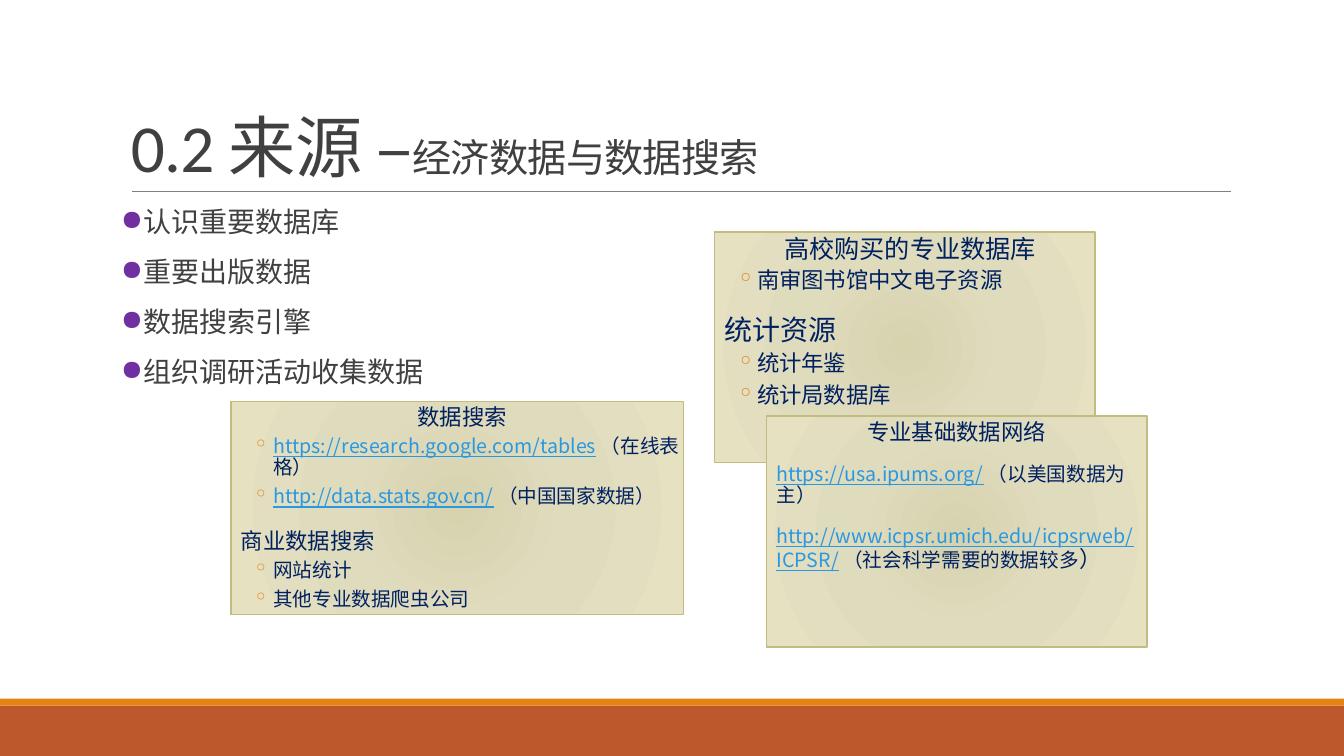
from lxml.etree import SubElement as Sub
from pptx import Presentation
from pptx.dml.color import RGBColor as RGB
from pptx.enum.shapes import MSO_CONNECTOR as Conn, MSO_SHAPE as Kind
from pptx.enum.text import MSO_ANCHOR as Anchor
from pptx.oxml import parse_xml
from pptx.oxml.ns import nsdecls, qn
from pptx.util import Pt

INK = {"text": "404040", "navy": "002060", "link": "2998E3", "dot": "7030A0",
       "orange": "E48312", "rust": "BD582C", "rule": "808080", "edge": "C2BC80"}
GLOW = {0: "D7D3AF", 45: "DFDBBD", 100: "E5E1C1"}
LATIN, HAN = "Calibri", "Noto Sans CJK SC"


def tint(name):
    return RGB.from_string(INK[name])


def place(box):
    return [Pt(n) for n in box]


def set_frame(shape, side, anchor=Anchor.TOP):
    frame = shape.text_frame
    frame.word_wrap = True
    frame.vertical_anchor = anchor
    frame.margin_left = frame.margin_right = Pt(side)
    frame.margin_top = frame.margin_bottom = Pt(3.6)
    return frame


def add_para(frame, runs, size, color, font, first, left=0, hang=0,
             mark=None, dot="orange", before=12, after=2, lines=0.9):
    """Each run is a text, or a (text, size, color) tuple."""
    para = frame.paragraphs[0] if first else frame.add_paragraph()
    para.line_spacing = lines
    para.space_before = Pt(0 if first else before)
    para.space_after = Pt(after)
    props = para._p.get_or_add_pPr()
    props.set("marL", str(Pt(left)))
    props.set("indent", str(-Pt(hang)))
    if mark:
        Sub(Sub(props, qn("a:buClr")), qn("a:srgbClr"), val=INK[dot])
        Sub(props, qn("a:buChar"), char=mark)
    para.font.size = Pt(size)
    para.font.name = font
    para.font.color.rgb = tint(color)
    Sub(props.find(qn("a:defRPr")), qn("a:ea"), typeface=HAN)
    for item in runs:
        text, big, hue = (item, None, None) if isinstance(item, str) else item
        run = para.add_run()
        run.text = text
        if big:
            run.font.size = Pt(big)
        if hue:
            run.font.color.rgb = tint(hue)
            run.font.underline = True
    return props


def add_head(para_to, size, *runs, first=False, left=7.2):
    add_para(para_to, runs, size, "navy", HAN, first, left)


def add_item(para_to, size, *runs):
    add_para(para_to, runs, size, "navy", HAN, False, 30.24, 14.4,
             "◦", before=2, after=4)


def link(text):
    return text, None, "link"


def add_band(slide, box, color):
    band = slide.shapes.add_shape(Kind.RECTANGLE, *place(box))
    band.shadow.inherit = False
    band.fill.solid()
    band.fill.fore_color.rgb = tint(color)
    band.line.fill.background()


def add_rule(slide, left, right, top):
    rule = slide.shapes.add_connector(Conn.STRAIGHT, *place((left, top, right, top)))
    rule.line.color.rgb = tint("rule")
    rule.line.width = Pt(0.5)
    Sub(rule._element.spPr, qn("a:effectLst"))


def add_card(slide, box):
    card = slide.shapes.add_shape(Kind.RECTANGLE, *place(box))
    card.shadow.inherit = False
    card.line.color.rgb = tint("edge")
    card.line.width = Pt(1)
    stops = "".join(f'<a:gs pos="{pos * 1000}"><a:srgbClr val="{hue}"/></a:gs>'
                    for pos, hue in GLOW.items())
    glow = parse_xml(
        f'<a:gradFill {nsdecls("a")} rotWithShape="1"><a:gsLst>{stops}</a:gsLst>'
        '<a:path path="circle"><a:fillToRect l="100000" t="100000" r="100000" '
        'b="100000"/></a:path></a:gradFill>')
    card._element.spPr.find(qn("a:prstGeom")).addnext(glow)
    return set_frame(card, 0)


def main():
    deck = Presentation()
    deck.slide_width, deck.slide_height = Pt(960), Pt(540)
    slide = deck.slides.add_slide(deck.slide_layouts[6])

    # Footer bands and title rule
    add_band(slide, (0, 504, 960, 36), "rust")
    add_band(slide, (0, 499, 960, 5), "orange")
    add_rule(slide, 94.3, 879.1, 136.8)

    # Title
    box = slide.shapes.add_textbox(*place((86.4, 22.3, 792, 114.5)))
    props = add_para(set_frame(box, 7.2, Anchor.BOTTOM),
                     ["0.2 来源 –", ("经济数据与数据搜索", 28, None)],
                     48, "text", LATIN, True, after=0, lines=0.85)
    props.find(qn("a:defRPr")).set("spc", "-50")

    # Main points
    box = slide.shapes.add_textbox(*place((86.4, 145.4, 792, 316.8)))
    frame = set_frame(box, 0)
    points = ["认识重要数据库", "重要出版数据", "数据搜索引擎", "组织调研活动收集数据"]
    for i, point in enumerate(points):
        add_para(frame, [point], 20, "text", LATIN, i == 0, 7.2, 7.2, "●", "dot")

    # Library and statistics card
    card = add_card(slide, (510.5, 165.6, 271.8, 164.9))
    add_head(card, 18, "高校购买的专业数据库", first=True)
    add_item(card, 16, "南审图书馆中文电子资源")
    add_head(card, 20, "统计资源")
    add_item(card, 16, "统计年鉴")
    add_item(card, 16, "统计局数据库")

    # Data search card
    card = add_card(slide, (164.9, 286.7, 323.3, 152.3))
    add_head(card, 16, "数据搜索", first=True)
    add_item(card, 14, link("https://research.google.com/tables"), " （在线表格）")
    add_item(card, 14, link("http://data.stats.gov.cn/"), " （中国国家数据）")
    add_head(card, 16, "商业数据搜索")
    add_item(card, 14, "网站统计")
    add_item(card, 14, "其他专业数据爬虫公司")

    # Research network card
    card = add_card(slide, (547.4, 297.2, 271.8, 164.9))
    add_head(card, 16, "专业基础数据网络", first=True, left=0)
    add_head(card, 14, link("https://usa.ipums.org/"), " （以美国数据为主）")
    add_head(card, 14, link("http://www.icpsr.umich.edu/icpsrweb/ICPSR/"),
             " （社会科学需要的数据较多", ("）", 16, None))

    deck.save("out.pptx")


if __name__ == "__main__":
    main()
